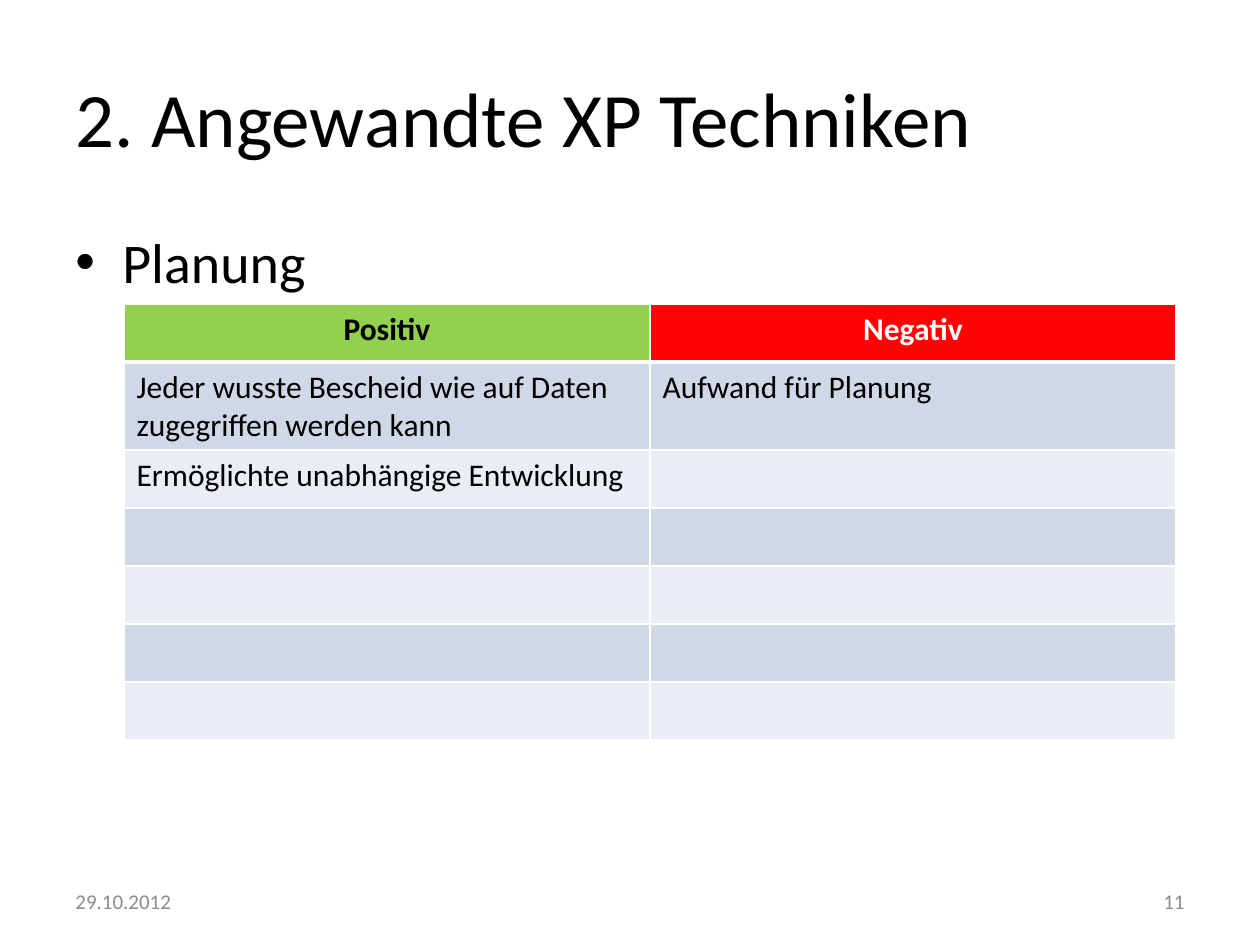
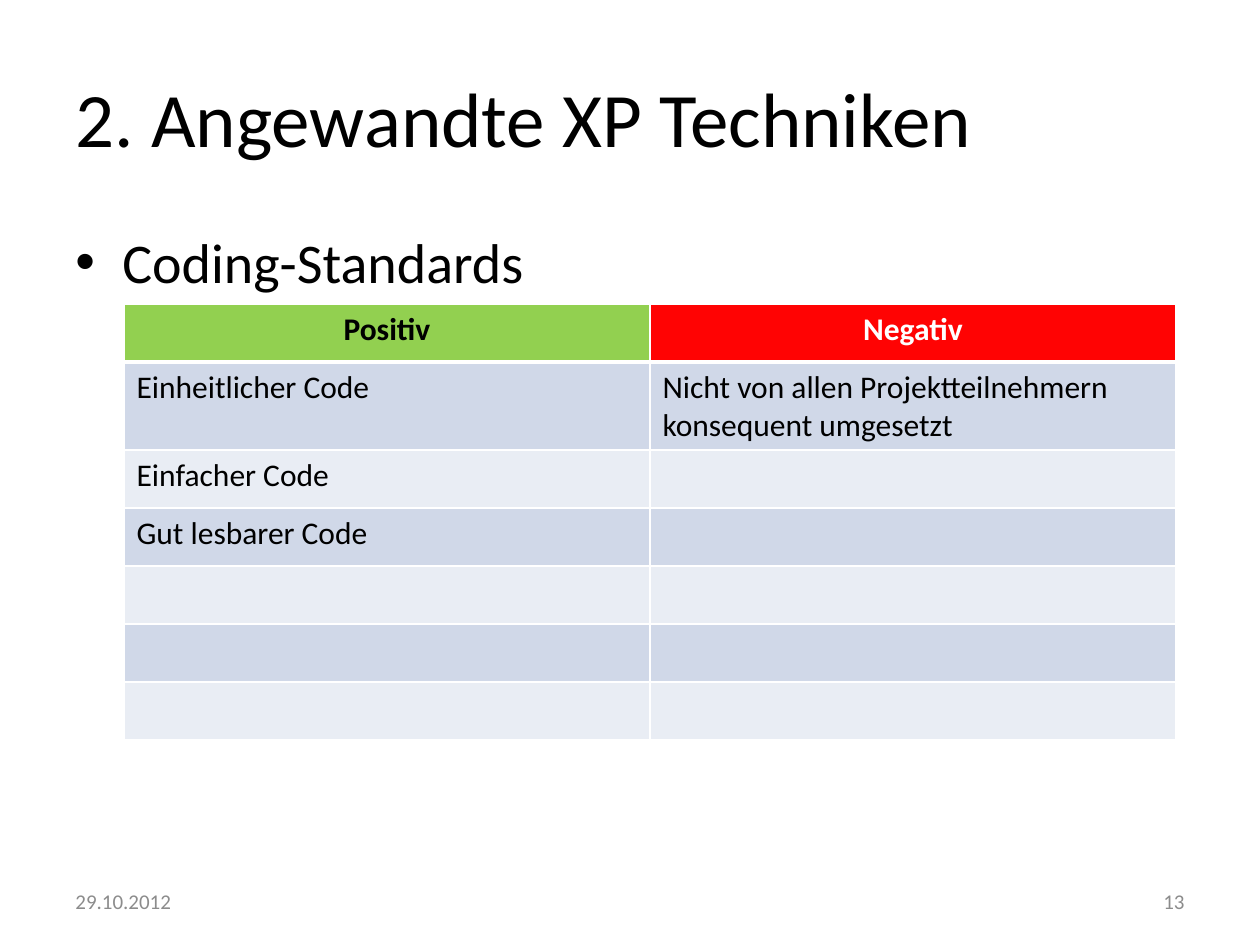
from lxml import etree
from pptx import Presentation
from pptx.dml.color import RGBColor
from pptx.enum.text import MSO_ANCHOR as ANCHOR, PP_ALIGN as ALIGN
from pptx.oxml.ns import qn
from pptx.util import Emu, Pt

PX = 914400 // 126
FONT = "Calibri"
COLORS = {
    "text": "000000", "footer": "8C8C8C", "line": "FFFFFF",
    "positive": "92D050", "negative": "FF0303", "on_negative": "FFFFFF",
    "band_dark": "D0D8E8", "band_light": "E9EDF4",
}
TITLE = "2. Angewandte XP Techniken"
DATE = "29.10.2012"
HEADERS = [("Positiv", "positive", "text"), ("Negativ", "negative", "on_negative")]
BODY_ROWS = 6
TITLE_BOX = (63, 38, 1134, 157)
TOPIC_BOX = (63, 221, 1134, 624)
DATE_BOX = (63, 876, 294, 50)
NUMBER_BOX = (903, 876, 294, 50)
TABLE_LEFT, TABLE_TOP, COLUMN_WIDTH, ROW_HEIGHT = 124, 304, 526, 58
BULLET_INDENT = 47

SLIDES = [
    ("Planung", "11", [
        ("Jeder wusste Bescheid wie auf Daten zugegriffen werden kann",
         "Aufwand für Planung"),
        ("Ermöglichte unabhängige Entwicklung", ""),
    ]),
    ("Coding-Standards", "13", [
        ("Einheitlicher Code",
         "Nicht von allen Projektteilnehmern konsequent umgesetzt"),
        ("Einfacher Code", ""),
        ("Gut lesbarer Code", ""),
    ]),
]


def px(*lengths):
    return [Emu(n * PX) for n in lengths]


def rgb(name):
    return RGBColor.from_string(COLORS[name])


def write(tf, text, size, color="text", align=ALIGN.LEFT, bold=False):
    p = tf.paragraphs[0]
    p.alignment = align
    r = p.add_run()
    r.text = text
    for key, value in {"name": FONT, "size": Pt(size), "bold": bold}.items():
        setattr(r.font, key, value)
    r.font.color.rgb = rgb(color)
    return p


def add_title(slide):
    sp = slide.shapes.title
    sp.left, sp.top, sp.width, sp.height = px(*TITLE_BOX)
    sp.text_frame.vertical_anchor = ANCHOR.MIDDLE
    write(sp.text_frame, TITLE, 44)


def add_text(slide, box, text, size, anchor=ANCHOR.TOP, **style):
    tf = slide.shapes.add_textbox(*px(*box)).text_frame
    tf.word_wrap = True
    tf.vertical_anchor = anchor
    return write(tf, text, size, **style)


def add_topic(slide, text):
    p_pr = add_text(slide, TOPIC_BOX, text, 32)._p.get_or_add_pPr()
    indent = BULLET_INDENT * PX
    p_pr.set("marL", str(indent))
    p_pr.set("indent", str(-indent))
    etree.SubElement(p_pr, qn("a:buFont"), typeface="Arial")
    etree.SubElement(p_pr, qn("a:buChar"), char="•")


def set_borders(cell, **widths):
    """Draw the cell's edges in the line colour; widths are points by edge."""
    tc_pr = cell._tc.get_or_add_tcPr()
    for edge in ("L", "R", "T", "B"):
        ln = etree.SubElement(tc_pr, qn(f"a:ln{edge}"), w=str(Pt(widths.get(edge, 1))))
        fill = etree.SubElement(ln, qn("a:solidFill"))
        etree.SubElement(fill, qn("a:srgbClr"), val=COLORS["line"])


def fill_cell(cell, text, fill, borders, **style):
    set_borders(cell, **borders)
    cell.fill.solid()
    cell.fill.fore_color.rgb = rgb(fill)
    if text:
        write(cell.text_frame, text, 18, **style)


def add_comparison(slide, entries):
    n_rows, n_cols = BODY_ROWS + 1, len(HEADERS)
    box = px(TABLE_LEFT, TABLE_TOP, COLUMN_WIDTH * n_cols, ROW_HEIGHT * n_rows)
    table = slide.shapes.add_table(n_rows, n_cols, *box).table
    for col, (text, fill, color) in enumerate(HEADERS):
        fill_cell(table.cell(0, col), text, fill, {"B": 3},
                  color=color, align=ALIGN.CENTER, bold=True)
    for row in range(1, n_rows):
        texts = entries[row - 1] if row <= len(entries) else [""] * n_cols
        band = "band_dark" if row % 2 else "band_light"
        top = {"T": 3} if row == 1 else {}
        for col, text in enumerate(texts):
            fill_cell(table.cell(row, col), text, band, top)


def add_footer(slide, number):
    style = {"size": 12, "anchor": ANCHOR.MIDDLE, "color": "footer"}
    add_text(slide, DATE_BOX, DATE, **style)
    add_text(slide, NUMBER_BOX, number, align=ALIGN.RIGHT, **style)


def main():
    prs = Presentation()
    prs.slide_width, prs.slide_height = px(1260, 945)
    for topic, number, entries in SLIDES:
        slide = prs.slides.add_slide(prs.slide_layouts[5])
        add_title(slide)
        add_topic(slide, topic)
        add_footer(slide, number)
        add_comparison(slide, entries)
    prs.save("out.pptx")


if __name__ == "__main__":
    main()
